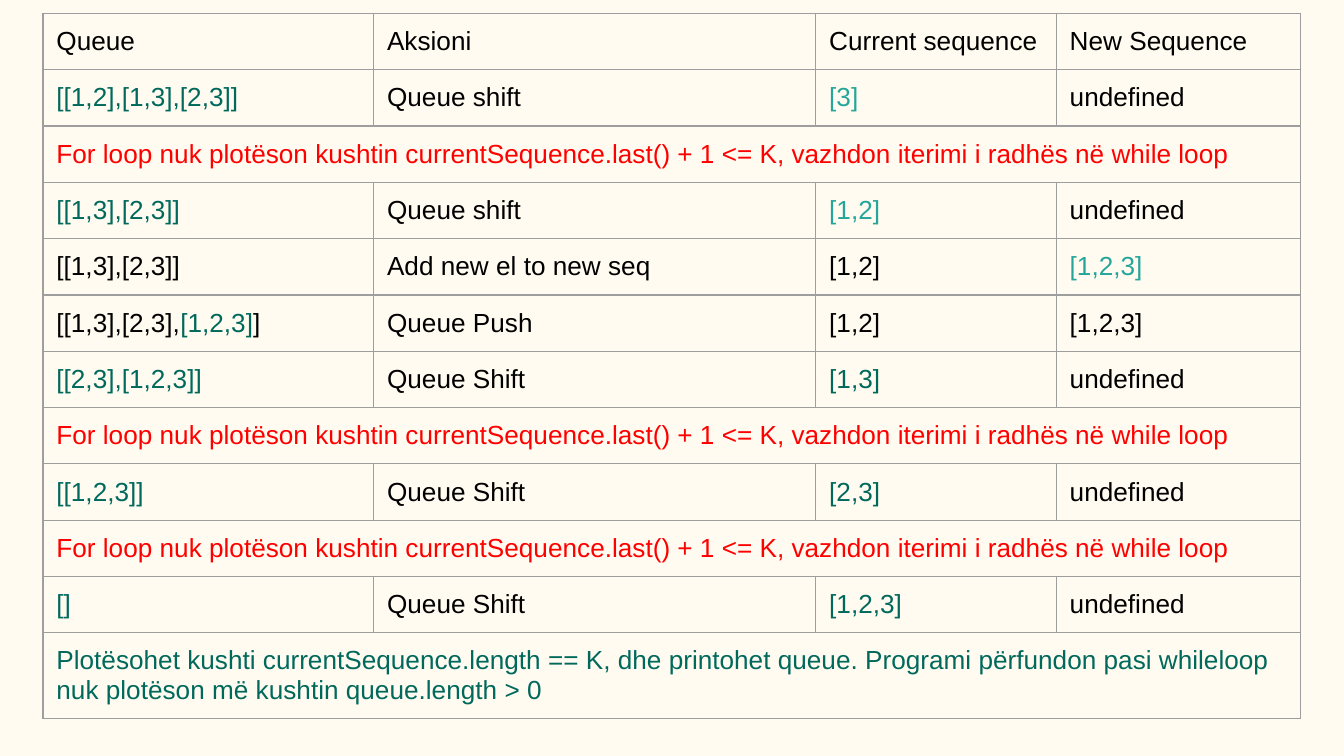
from pptx import Presentation
from pptx.dml.color import RGBColor
from pptx.oxml import parse_xml
from pptx.oxml.ns import nsdecls
from pptx.util import Inches, Pt

BLACK, GREEN, TEAL, RED = "000000", "00695C", "26A69A", "FF0000"
BACKGROUND, BORDER = "FFFBF0", "9E9E9E"

LOOP_ENDS = [[(
    "For loop nuk plotëson kushtin currentSequence.last() + 1 <= K, "
    "vazhdon iterimi i radhës në while loop", RED)]]
FINISH = [[(
    "Plotësohet kushti currentSequence.length == K, dhe printohet queue. "
    "Programi përfundon pasi whileloop nuk plotëson më kushtin queue.length > 0", GREEN)]]


def step(queue, action, current, new, queue_color=BLACK, current_color=BLACK, new_color=BLACK):
    return [[(queue, queue_color)], [(action, BLACK)],
            [(current, current_color)], [(new, new_color)]]


STEPS = [
    step("Queue", "Aksioni", "Current sequence", "New Sequence"),
    step("[[1,2],[1,3],[2,3]]", "Queue shift", "[3]", "undefined", GREEN, TEAL),
    LOOP_ENDS,
    step("[[1,3],[2,3]]", "Queue shift", "[1,2]", "undefined", GREEN, TEAL),
    step("[[1,3],[2,3]]", "Add new el to new seq", "[1,2]", "[1,2,3]", new_color=TEAL),
    [[("[[1,3],[2,3],", BLACK), ("[1,2,3]", GREEN), ("]", BLACK)],
     [("Queue Push", BLACK)], [("[1,2]", BLACK)], [("[1,2,3]", BLACK)]],
    step("[[2,3],[1,2,3]]", "Queue Shift", "[1,3]", "undefined", GREEN, GREEN),
    LOOP_ENDS,
    step("[[1,2,3]]", "Queue Shift", "[2,3]", "undefined", GREEN, GREEN),
    LOOP_ENDS,
    step("[]", "Queue Shift", "[1,2,3]", "undefined", GREEN, GREEN),
    FINISH,
]
COLUMN_WIDTHS = [2.46, 3.29, 1.79, 1.82]
TABLE_HEIGHT = Inches(5)


def rgb(color):
    return RGBColor.from_string(color)


def style_cell(cell):
    cell.margin_left = cell.margin_right = Inches(0.1)
    cell.margin_top = cell.margin_bottom = Inches(0.1)
    properties = cell._tc.get_or_add_tcPr()
    for side in ("lnL", "lnR", "lnT", "lnB"):
        properties.append(parse_xml(
            f'<a:{side} {nsdecls("a")} w="{Pt(0.75)}"><a:solidFill>'
            f'<a:srgbClr val="{BORDER}"/></a:solidFill></a:{side}>'))
    cell.fill.background()


def write_cell(cell, pieces):
    paragraph = cell.text_frame.paragraphs[0]
    for text, color in pieces:
        run = paragraph.add_run()
        run.text = text
        run.font.name = "Arial"
        run.font.size = Pt(14)
        run.font.color.rgb = rgb(color)


presentation = Presentation()
presentation.slide_width = Inches(10)
presentation.slide_height = presentation.slide_width * 9 // 16
slide = presentation.slides.add_slide(presentation.slide_layouts[6])
slide.background.fill.solid()
slide.background.fill.fore_color.rgb = rgb(BACKGROUND)

trace = slide.shapes.add_table(
    len(STEPS), len(COLUMN_WIDTHS), Inches(0.32), Inches(0.1),
    Inches(sum(COLUMN_WIDTHS)), TABLE_HEIGHT).table
trace.first_row = False
trace.horz_banding = False
for column, width in zip(trace.columns, COLUMN_WIDTHS):
    column.width = Inches(width)
for row in trace.rows:
    row.height = TABLE_HEIGHT // len(STEPS)
for cell in trace.iter_cells():
    style_cell(cell)

for row_index, entries in enumerate(STEPS):
    if len(entries) == 1:
        trace.cell(row_index, 0).merge(trace.cell(row_index, len(COLUMN_WIDTHS) - 1))
    for column_index, pieces in enumerate(entries):
        write_cell(trace.cell(row_index, column_index), pieces)

presentation.save("out.pptx")
